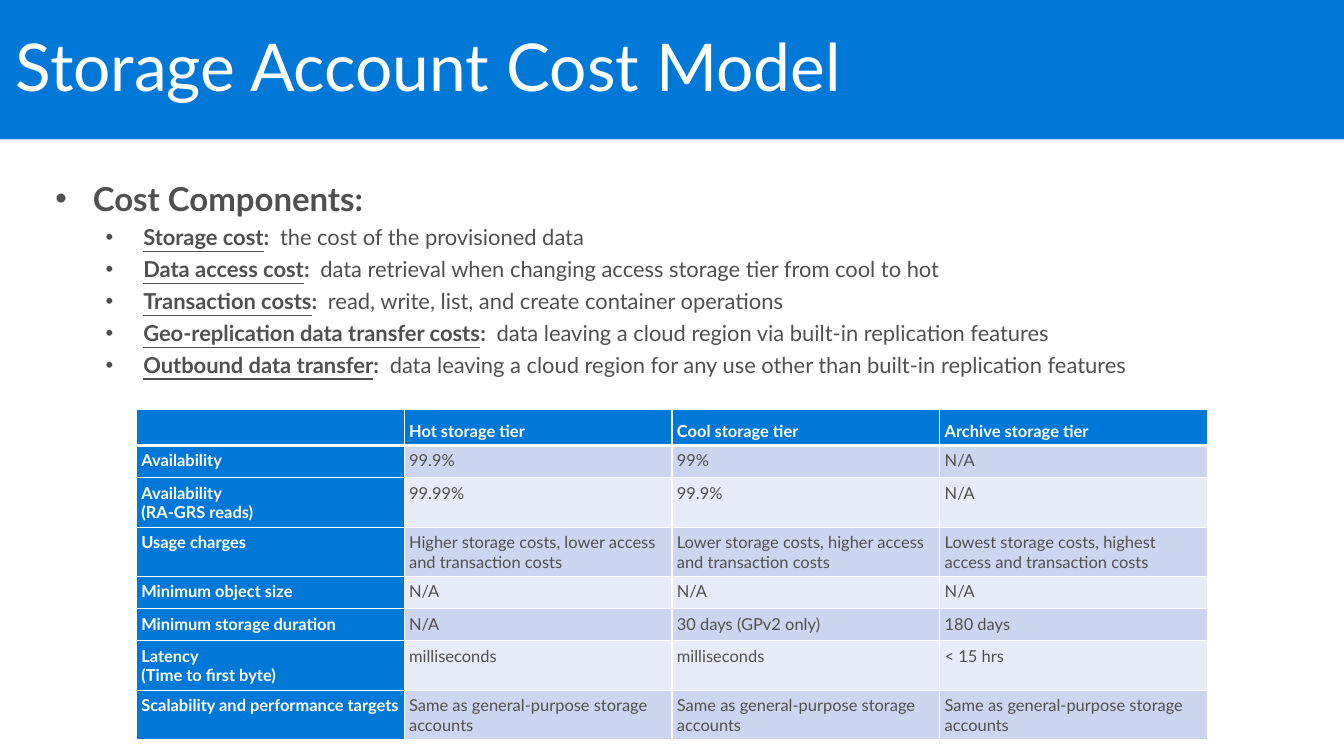
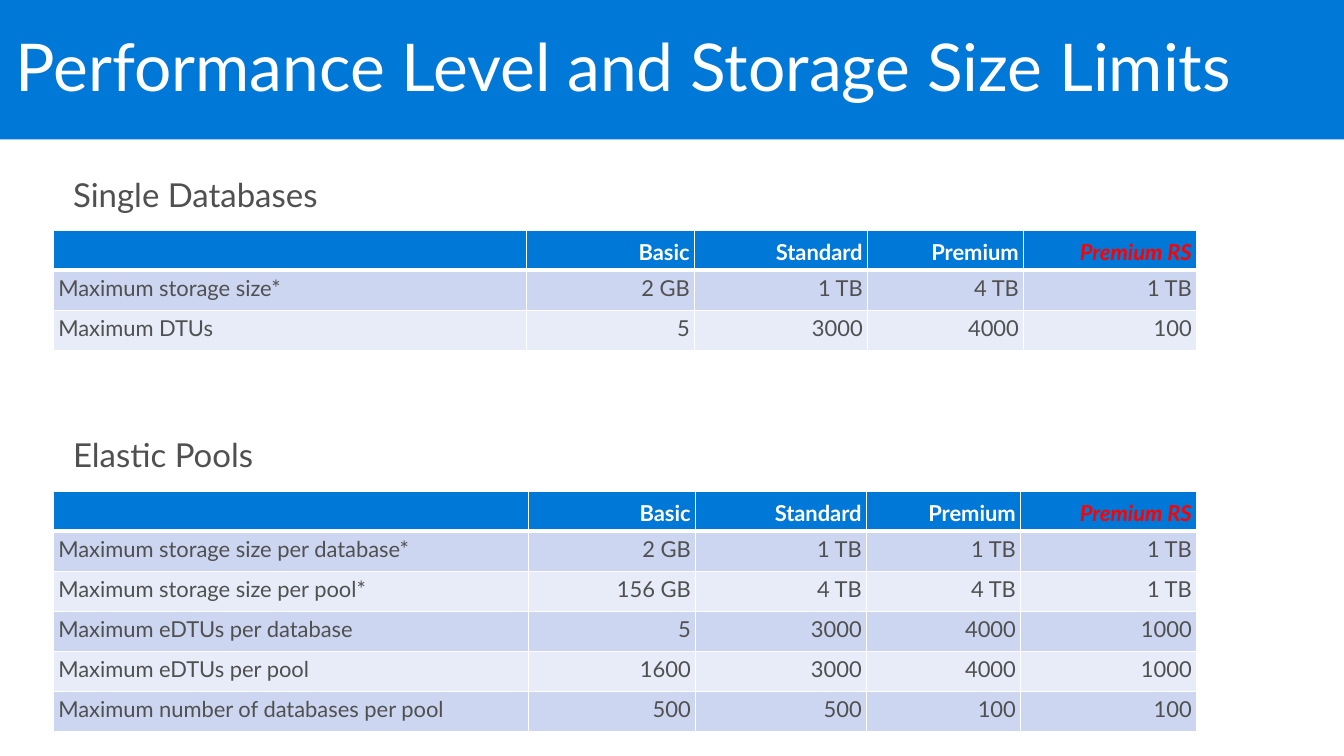
import dataclasses

import lxml.etree
import pptx
import pptx.dml.color
import pptx.enum.shapes
import pptx.enum.text
import pptx.oxml.ns
import pptx.util

Inches = pptx.util.Inches
Pt = pptx.util.Pt
RGB = pptx.dml.color.RGBColor.from_string
qn = pptx.oxml.ns.qn
ANCHOR = pptx.enum.text.MSO_ANCHOR
ALIGN = pptx.enum.text.PP_ALIGN


@dataclasses.dataclass(frozen=True)
class Theme:
    font: str = "Lato"
    blue: str = "0078D7"
    white: str = "FFFFFF"
    grey: str = "505050"
    red: str = "FF0000"
    bands: tuple = ("CCD6F0", "E7ECF8")
    title: int = 48
    heading: int = 24
    body: int = 16
    small: int = 12
    thin: int = 1
    thick: int = 3


class Deck:
    def __init__(self, theme, width, height):
        self.theme = theme
        self.prs = pptx.Presentation()
        self.prs.slide_width = Inches(width)
        self.prs.slide_height = Inches(height)
        self.s = None

    # Slide with its title band
    def slide(self, title):
        t = self.theme
        self.s = self.prs.slides.add_slide(self.prs.slide_layouts[6])
        sp = self.s.shapes.add_shape(
            pptx.enum.shapes.MSO_SHAPE.RECTANGLE,
            0, 0, self.prs.slide_width, Inches(1.41))
        sp.shadow.inherit = False
        sp.fill.solid()
        sp.fill.fore_color.rgb = RGB(t.blue)
        sp.line.fill.background()
        tf = sp.text_frame
        tf.word_wrap = True
        tf.vertical_anchor = ANCHOR.MIDDLE
        self.insets(tf, 0.16, 0.1)
        p = tf.paragraphs[0]
        p.alignment = ALIGN.LEFT
        p.line_spacing = 0.9
        self.run(p, title, t.title, t.white)

    def insets(self, target, side, end):
        target.margin_left = target.margin_right = Inches(side)
        target.margin_top = target.margin_bottom = Inches(end)

    def run(self, p, text, size, color, bold=False, italic=False,
            underline=False):
        r = p.add_run()
        r.text = text
        f = r.font
        f.name = self.theme.font
        f.size = Pt(size)
        f.color.rgb = RGB(color)
        f.bold, f.italic, f.underline = bold, italic, underline

    # Text area and its paragraphs
    def text_box(self, left, top, width, height):
        tf = self.s.shapes.add_textbox(
            Inches(left), Inches(top), Inches(width), Inches(height)).text_frame
        tf.word_wrap = True
        tf.auto_size = pptx.enum.text.MSO_AUTO_SIZE.SHAPE_TO_FIT_TEXT
        self.insets(tf, 0.2, 0.16)
        return tf

    def paragraph(self, tf, first=False):
        p = tf.paragraphs[0] if first else tf.add_paragraph()
        p.line_spacing = 0.9
        p.space_after = Pt(6)
        return p

    def bullet(self, p, margin, level=0):
        p.level = level
        pPr = p._p.get_or_add_pPr()
        pPr.set("marL", str(Inches(margin)))
        pPr.set("indent", str(-Inches(0.38)))
        lxml.etree.SubElement(pPr, qn("a:buFont"), typeface="Arial")
        lxml.etree.SubElement(pPr, qn("a:buChar"), char="•")

    def heading(self, text, left, top):
        p = self.paragraph(self.text_box(left, top, 4.97, 0.69), first=True)
        self.run(p, text, self.theme.heading, self.theme.grey)

    def term_list(self, heading, items, left, top, width, height):
        t = self.theme
        tf = self.text_box(left, top, width, height)
        p = self.paragraph(tf, first=True)
        self.bullet(p, 0.38)
        self.run(p, heading, t.heading, t.grey, bold=True)
        for term, meaning in items:
            p = self.paragraph(tf)
            self.bullet(p, 0.89, level=1)
            self.run(p, term, t.body, t.grey, bold=True, underline=True)
            self.run(p, ":  ", t.body, t.grey, bold=True)
            self.run(p, meaning, t.body, t.grey)

    # Banded table with a blue header row
    def table(self, rows, left, top, widths, heights, size,
              blue_labels=False, align=ALIGN.LEFT, accent=None):
        t = self.theme
        tbl = self.s.shapes.add_table(
            len(rows), len(widths), Inches(left), Inches(top),
            Inches(sum(widths)), Inches(sum(heights))).table
        tbl.first_row = tbl.horz_banding = False
        for column, width in zip(tbl.columns, widths):
            column.width = Inches(width)
        for i, (row, height) in enumerate(zip(rows, heights)):
            tbl.rows[i].height = Inches(height)
            for j, text in enumerate(row):
                head = i == 0
                strong = head or (blue_labels and j == 0)
                marked = text == accent
                cell = tbl.cell(i, j)
                self.insets(cell, 0.05, 0.05)
                cell.vertical_anchor = ANCHOR.BOTTOM if head else ANCHOR.TOP
                self.borders(cell, top=t.thick if i == 1 else t.thin,
                             bottom=t.thick if head else t.thin)
                cell.fill.solid()
                cell.fill.fore_color.rgb = RGB(
                    t.blue if strong else t.bands[(i - 1) % 2])
                color = t.red if marked else t.white if strong else t.grey
                p = cell.text_frame.paragraphs[0]
                p.alignment = align if j else ALIGN.LEFT
                self.cell_text(p, text, size, color, strong, marked)

    def cell_text(self, p, text, size, color, bold, italic):
        if not text:
            lxml.etree.SubElement(p._p, qn("a:endParaRPr"), sz=str(size * 100))
            return
        for n, line in enumerate(text.split("\n")):
            if n:
                p.add_line_break()
            self.run(p, line, size, color, bold, italic)

    def borders(self, cell, top, bottom):
        thin = self.theme.thin
        tcPr = cell._tc.get_or_add_tcPr()
        for side, width in (("L", thin), ("R", thin), ("T", top), ("B", bottom)):
            ln = lxml.etree.SubElement(
                tcPr, qn("a:ln" + side), w=str(Pt(width)))
            fill = lxml.etree.SubElement(ln, qn("a:solidFill"))
            lxml.etree.SubElement(fill, qn("a:srgbClr"), val=self.theme.white)


COST_COMPONENTS = [
    ("Storage cost", "the cost of the provisioned data"),
    ("Data access cost",
     "data retrieval when changing access storage tier from cool to hot"),
    ("Transaction costs", "read, write, list, and create container operations"),
    ("Geo-replication data transfer costs",
     "data leaving a cloud region via built-in replication features"),
    ("Outbound data transfer",
     "data leaving a cloud region for any use other than built-in "
     "replication features"),
]

STORAGE_TIERS = [
    ["", "Hot storage tier", "Cool storage tier", "Archive storage tier"],
    ["Availability", "99.9%", "99%", "N/A"],
    ["Availability\n(RA-GRS reads)", "99.99%", "99.9%", "N/A"],
    ["Usage charges",
     "Higher storage costs, lower access and transaction costs",
     "Lower storage costs, higher access and transaction costs",
     "Lowest storage costs, highest access and transaction costs"],
    ["Minimum object size"] + ["N/A"] * 3,
    ["Minimum storage duration", "N/A", "30 days (GPv2 only)", "180 days"],
    ["Latency\n(Time to first byte)", "milliseconds", "milliseconds",
     "< 15 hrs"],
    ["Scalability and performance targets"]
    + ["Same as general-purpose storage accounts"] * 3,
]

LEVELS = ["", "Basic", "Standard", "Premium", "Premium RS"]

SINGLE_DATABASES = [
    LEVELS,
    ["Maximum storage size*", "2 GB", "1 TB", "4 TB", "1 TB"],
    ["Maximum DTUs", "5", "3000", "4000", "100"],
]

ELASTIC_POOLS = [
    LEVELS,
    ["Maximum storage size per database*", "2 GB", "1 TB", "1 TB", "1 TB"],
    ["Maximum storage size per pool*", "156 GB", "4 TB", "4 TB", "1 TB"],
    ["Maximum eDTUs per database", "5", "3000", "4000", "1000"],
    ["Maximum eDTUs per pool", "1600", "3000", "4000", "1000"],
    ["Maximum number of databases per pool", "500", "500", "100", "100"],
]


def main():
    theme = Theme()
    deck = Deck(theme, 13.6, 7.65)

    # Cost model
    deck.slide("Storage Account Cost Model")
    deck.term_list("Cost Components:", COST_COMPONENTS, 0.36, 1.69, 12.94, 2.32)
    one_line, two_lines = 0.325, 0.5
    heights = [0.37] + [
        two_lines if n in (2, 3, 6, 7) else one_line
        for n in range(1, len(STORAGE_TIERS))]
    deck.table(STORAGE_TIERS, 1.38, 4.14, [2.71] * 4, heights, theme.small,
               blue_labels=True)

    # Size limits
    deck.slide("Performance Level and Storage Size Limits")
    sections = [
        ("Single Databases", SINGLE_DATABASES, 1.65, 2.33,
         [4.79, 1.7, 1.75, 1.58, 1.75]),
        ("Elastic Pools", ELASTIC_POOLS, 4.28, 4.97,
         [4.81, 1.69, 1.73, 1.56, 1.78]),
    ]
    for heading, rows, heading_top, table_top, widths in sections:
        deck.table(rows, 0.54, table_top, widths, [0.405] * len(rows),
                   theme.body, align=ALIGN.RIGHT, accent="Premium RS")
        deck.heading(heading, 0.54, heading_top)

    deck.prs.save("out.pptx")


if __name__ == "__main__":
    main()
